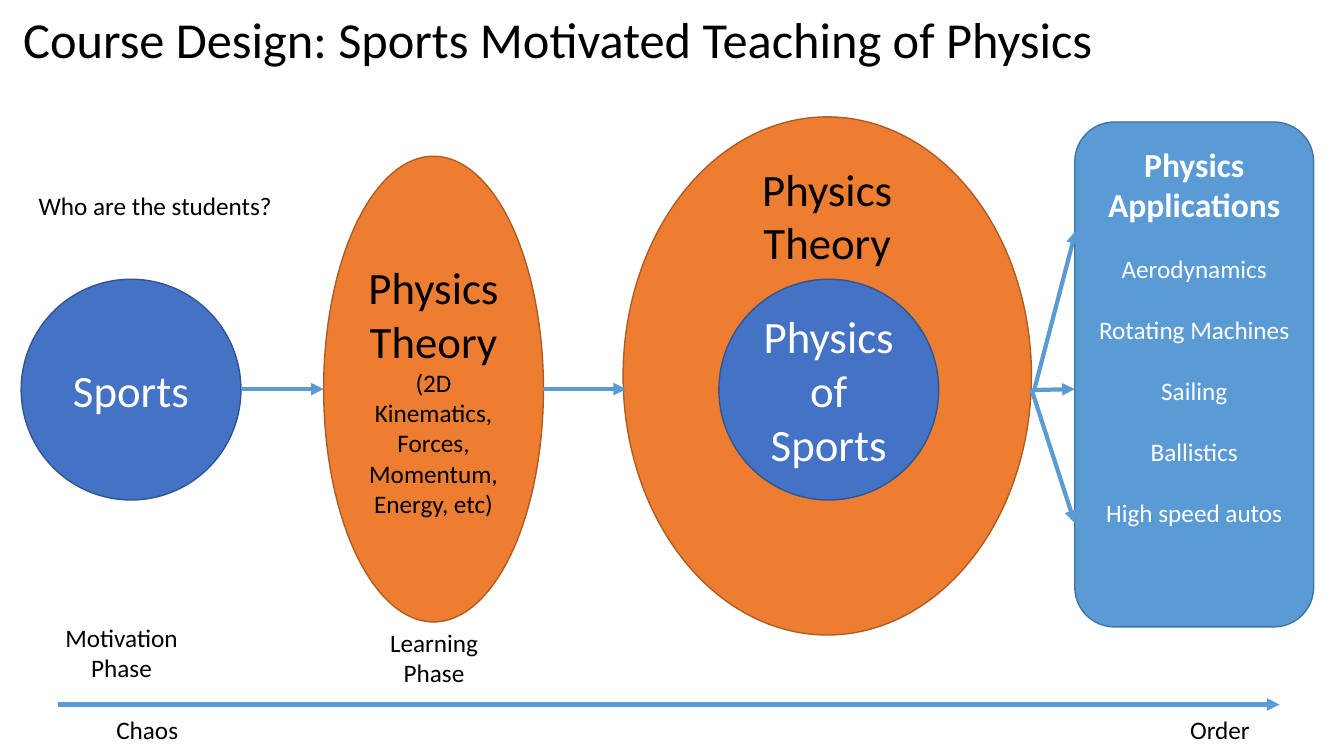
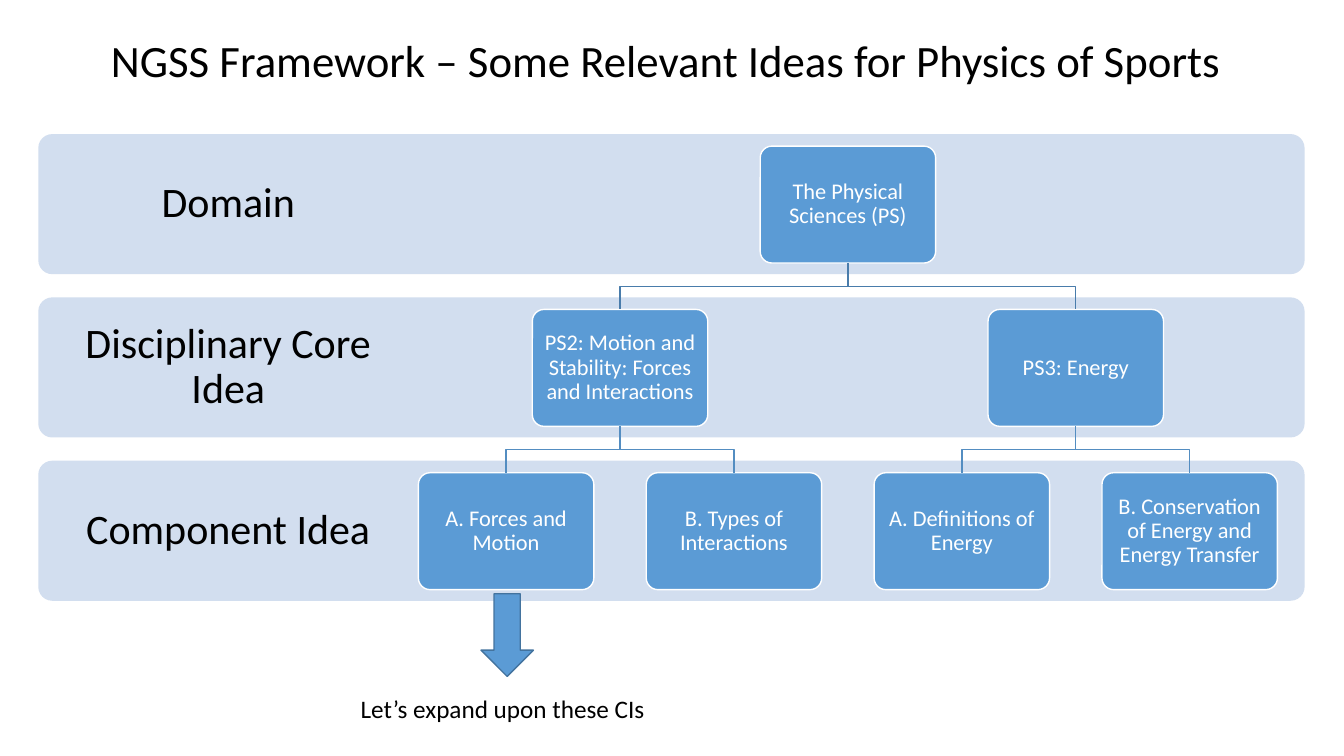
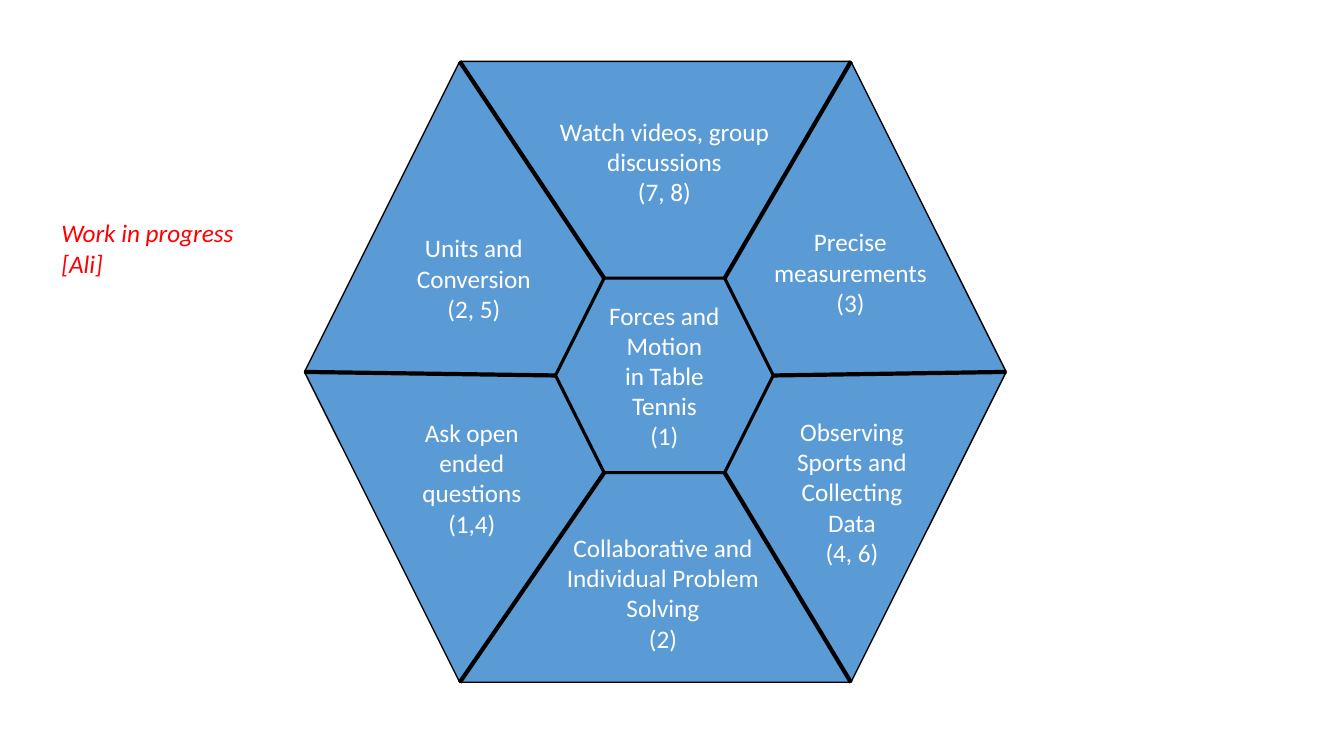
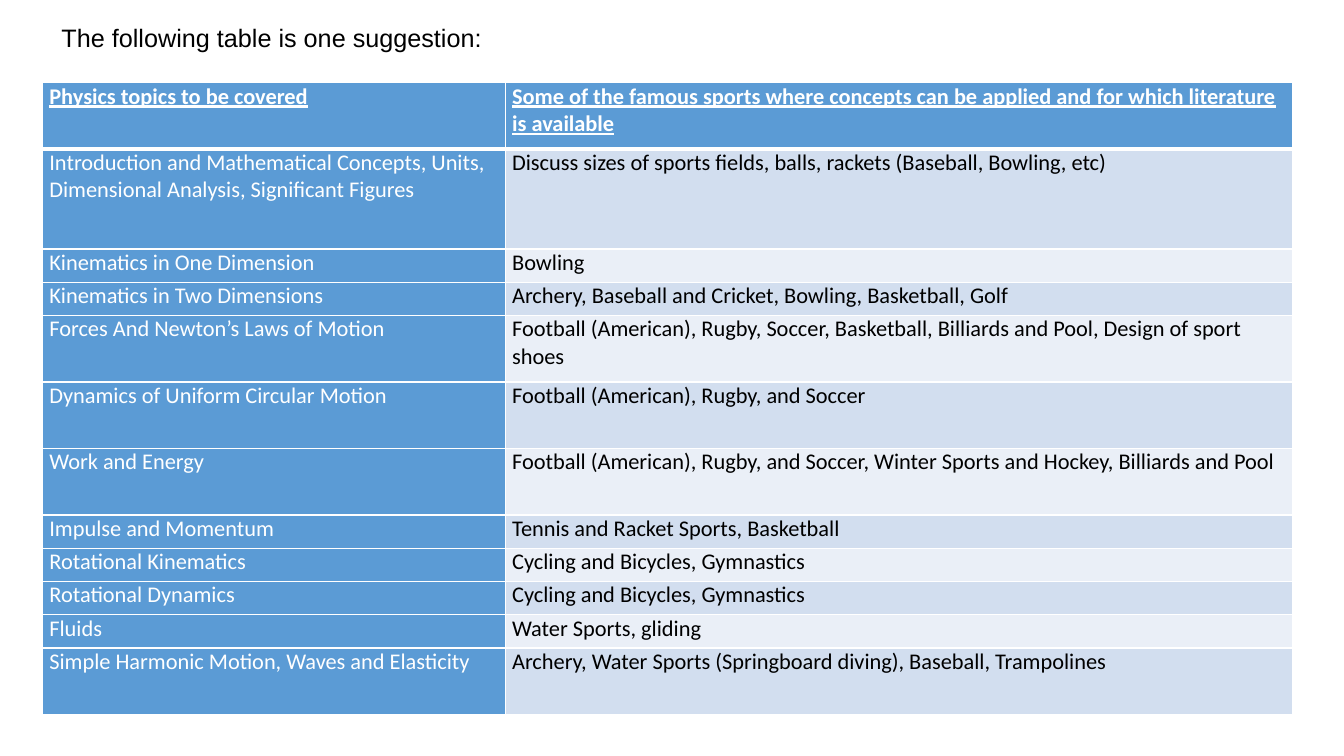
import pptx
import pptx.util
import pptx.dml.color
import pptx.enum.shapes
import pptx.enum.text
import pptx.oxml.ns
import lxml.etree

Inches, Pt = pptx.util.Inches, pptx.util.Pt
RGB = pptx.dml.color.RGBColor
SHAPE = pptx.enum.shapes.MSO_SHAPE
ALIGN = pptx.enum.text.PP_ALIGN
ANCHOR = pptx.enum.text.MSO_ANCHOR
qn = pptx.oxml.ns.qn

BLACK = RGB(0x00, 0x00, 0x00)
WHITE = RGB(0xFF, 0xFF, 0xFF)
RED = RGB(0xFF, 0x00, 0x00)
BLUE = RGB(0x5B, 0x9B, 0xD5)
BLUE_EDGE = RGB(0x43, 0x73, 0x9E)
NAVY = RGB(0x44, 0x72, 0xC4)
NAVY_EDGE = RGB(0x32, 0x54, 0x91)
ORANGE = RGB(0xED, 0x7D, 0x31)
ORANGE_EDGE = RGB(0xAF, 0x5C, 0x24)
PALE = RGB(0xD2, 0xDE, 0xEF)
PALER = RGB(0xEA, 0xEF, 0xF7)
BRANCHES = [RGB(0x49, 0x7C, 0xAB), RGB(0x53, 0x8D, 0xC1)]


def box(s, kind, at, fill=None, line=None, width=1):
    at = [Inches(v) for v in at]
    if kind is None:
        return s.shapes.add_textbox(*at)
    sp = s.shapes.add_shape(kind, *at)
    sp.shadow.inherit = False
    sp.fill.solid()
    sp.fill.fore_color.rgb = fill
    if line is None:
        sp.line.fill.background()
    else:
        sp.line.color.rgb = line
        sp.line.width = Pt(width)
    return sp


def write(tf, lines, size=18, color=BLACK, align=ALIGN.CENTER, spacing=1.0, before=0, frame={}, font={}):
    for name, value in frame.items():
        setattr(tf, name, value)
    for i, line in enumerate(lines):
        p = tf.paragraphs[0] if i == 0 else tf.add_paragraph()
        p.alignment = align
        p.line_spacing = spacing
        if i and before:
            p.space_before = Pt(before)
        r = p.add_run()
        r.text = line
        r.font.color.rgb = color
        for name, value in {"name": "Calibri", "size": Pt(size), **font}.items():
            setattr(r.font, name, value)


MIDDLE = {"vertical_anchor": ANCHOR.MIDDLE, "word_wrap": True}
NO_WRAP = {"word_wrap": False}

prs = pptx.Presentation()
prs.slide_width, prs.slide_height = Inches(13.33), Inches(7.5)
s1, s2, s3, s4 = [prs.slides.add_slide(prs.slide_layouts[i]) for i in (5, 5, 6, 5)]

titles = [
    (s1, "Course Design: Sports Motivated Teaching of Physics", (0.13, 0.1, 11.5, 0.93), 36, 0.9, "Calibri"),
    (s2, "NGSS Framework – Some Relevant Ideas for Physics of Sports", (1, 0.27, 11.57, 0.64), 32, 1.0, "Calibri"),
    (s4, "The following table is one suggestion:", (0.51, 0.17, 4.48, 0.4), 18, 1.0, "Arial"),
]
for s, text, at, size, spacing, name in titles:
    sp = s.shapes.title
    sp.left, sp.top, sp.width, sp.height = [Inches(v) for v in at]
    frame = {"vertical_anchor": ANCHOR.TOP, "word_wrap": True, "auto_size": pptx.enum.text.MSO_AUTO_SIZE.NONE}
    write(sp.text_frame, [text], size, align=ALIGN.LEFT, spacing=spacing, frame=frame, font={"name": name})

ellipses = [
    ((3.21, 1.55, 2.18, 4.62), ORANGE, ORANGE_EDGE, BLACK,
     ["Physics", "Theory", "(2D Kinematics, Forces, Momentum, Energy, etc)"]),
    ((6.18, 1.16, 4.05, 5.14), ORANGE, ORANGE_EDGE, BLACK, []),
    ((7.13, 2.77, 2.18, 2.19), NAVY, NAVY_EDGE, WHITE, ["Physics of", "Sports"]),
    ((0.21, 2.77, 2.18, 2.19), NAVY, NAVY_EDGE, WHITE, ["Sports"]),
]
for at, fill, edge, color, lines in ellipses:
    tf = box(s1, SHAPE.OVAL, at, fill, edge).text_frame
    write(tf, lines, 32, color, frame=MIDDLE)
    if len(lines) == 3:
        tf.paragraphs[2].runs[0].font.size = Pt(18)

applications = box(s1, SHAPE.ROUNDED_RECTANGLE, (10.66, 1.21, 2.37, 5.01), BLUE, BLUE_EDGE)
write(applications.text_frame, ["Aerodynamics", "Rotating Machines", "Sailing", "Ballistics", "High speed autos"],
      color=WHITE, before=22, frame={**MIDDLE, "margin_top": Inches(0.36)})
write(box(s1, None, (10.88, 1.38, 1.93, 0.91)).text_frame, ["Physics", "Applications"], 24, WHITE,
      frame=NO_WRAP, font={"bold": True})
write(box(s1, None, (6.67, 1.55, 3.07, 1.18)).text_frame, ["Physics", "Theory"], 32)

bands = ["Domain", "Disciplinary Core Idea", "Component Idea"]
band_top, band_pitch = 1.33, 1.62
for row, text in enumerate(bands):
    sp = box(s2, SHAPE.ROUNDED_RECTANGLE, (0.38, band_top + row * band_pitch, 12.56, 1.39), PALE)
    sp.adjustments[0] = 0.1
    write(sp.text_frame, [text], 30, spacing=0.9,
          frame={**MIDDLE, "margin_left": Inches(0.19), "margin_right": Inches(8.98)})

nodes = [
    ("The Physical Sciences (PS)", 0, 1.5, None),
    ("PS2: Motion and Stability: Forces and Interactions", 1, 0.5, 1.5),
    ("PS3: Energy", 1, 2.5, 1.5),
    ("A. Forces and Motion", 2, 0, 0.5),
    ("B. Types of Interactions", 2, 1, 0.5),
    ("A. Definitions of Energy", 2, 2, 2.5),
    ("B. Conservation of Energy and Energy Transfer", 2, 3, 2.5),
]
node_left, node_pitch, node_w, node_h = 4.15, 2.26, 1.74, 1.16
tight = {f"margin_{side}": Inches(0.07) for side in ("left", "top", "right", "bottom")}
for text, row, col, parent in nodes:
    x = node_left + col * node_pitch
    y = band_top + 0.12 + row * band_pitch
    sp = box(s2, SHAPE.ROUNDED_RECTANGLE, (x, y, node_w, node_h), BLUE, WHITE)
    sp.adjustments[0] = 0.1
    write(sp.text_frame, [text], 16, WHITE, spacing=0.9, frame={**MIDDLE, **tight})
    if parent is not None:
        mid = x + node_w / 2
        parent_mid = node_left + parent * node_pitch + node_w / 2
        start = y - band_pitch + node_h
        bend = (start + y) / 2
        fb = s2.shapes.build_freeform(Inches(parent_mid), Inches(start))
        fb.add_line_segments([(Inches(a), Inches(b)) for a, b in [(parent_mid, bend), (mid, bend), (mid, y)]],
                             close=False)
        sp = fb.convert_to_shape()
        sp.shadow.inherit = False
        sp.fill.background()
        sp.line.color.rgb = BRANCHES[row - 1]
        sp.line.width = Pt(1)
box(s2, SHAPE.DOWN_ARROW, (4.77, 5.89, 0.52, 0.82), BLUE, BLUE_EDGE)

outer, inner = (3.02, 0.61, 6.96, 6.16), (5.51, 2.76, 2.16, 1.93)
box(s3, SHAPE.HEXAGON, outer, BLUE, BLACK)
center = box(s3, SHAPE.HEXAGON, inner, BLUE, BLACK, 2.25)
write(center.text_frame, ["Forces and Motion", "in Table Tennis", "(1)"], color=WHITE, frame=MIDDLE)
corners = [[(x + h / 4, y), (x + w - h / 4, y), (x + w, y + h / 2),
            (x + w - h / 4, y + h), (x + h / 4, y + h), (x, y + h / 2)] for x, y, w, h in (inner, outer)]

lines = [(s3, a, b, BLACK, False) for a, b in zip(*corners)]
lines += [(s1, a, b, BLUE, True) for a, b in [
    ((2.39, 3.86), (3.21, 3.86)),
    ((5.39, 3.86), (6.21, 3.86)),
    ((0.58, 6.99), (12.69, 6.99)),
    ((10.24, 3.87), (10.66, 3.86)),
    ((10.23, 3.86), (10.66, 5.19)),
    ((10.26, 3.86), (10.67, 2.29)),
]]
for s, a, b, color, arrow in lines:
    c = s.shapes.add_connector(pptx.enum.shapes.MSO_CONNECTOR.STRAIGHT, *[Inches(v) for v in a + b])
    c.line.color.rgb = color
    c.line.width = Pt(3)
    if arrow:
        lxml.etree.SubElement(c.line._get_or_add_ln(), qn("a:tailEnd"), type="triangle")
    lxml.etree.SubElement(c._element.spPr, qn("a:effectLst"))

labels = [
    (s1, (0.51, 6.12, 1.39, 0.71), ["Motivation", "Phase"], BLACK),
    (s1, (3.73, 6.17, 1.15, 0.71), ["Learning", "Phase"], BLACK),
    (s1, (1.05, 7.04, 0.82, 0.4), ["Chaos"], BLACK),
    (s1, (11.7, 7.04, 0.8, 0.4), ["Order"], BLACK),
    (s1, (0.27, 1.84, 2.54, 0.4), ["Who are the students?"], BLACK),
    (s2, (3.46, 6.83, 3.05, 0.4), ["Let’s expand upon these CIs"], BLACK),
    (s3, (5.41, 1.1, 2.36, 1.01), ["Watch videos, group", "discussions", "(7, 8)"], WHITE),
    (s3, (5.48, 5.23, 2.19, 1.31), ["Collaborative and", "Individual Problem", "Solving", "(2)"], WHITE),
    (s3, (4.03, 2.26, 1.34, 1.01), ["Units and", "Conversion", "(2, 5)"], WHITE),
    (s3, (7.57, 2.2, 1.73, 1.01), ["Precise", "measurements", "(3)"], WHITE),
    (s3, (7.77, 4.08, 1.36, 1.62), ["Observing", "Sports and", "Collecting", "Data", "(4, 6)"], WHITE),
]
for s, at, text, color in labels:
    write(box(s, None, at).text_frame, text, color=color, frame=NO_WRAP)
write(box(s3, None, (3.98, 4.09, 1.4, 1.31)).text_frame, ["Ask open ended questions", "(1,4)"],
      color=WHITE, frame={"word_wrap": True})
write(box(s3, None, (0.51, 2.11, 1.98, 0.71)).text_frame, ["Work in progress", "[Ali]"],
      color=RED, align=ALIGN.LEFT, frame={"word_wrap": True}, font={"italic": True})

rows = [
    (0.66, "Physics topics to be covered",
     "Some of the famous sports where concepts can be applied and for which literature is available"),
    (0.99, "Introduction and Mathematical Concepts, Units, Dimensional Analysis, Significant Figures",
     "Discuss sizes of sports fields, balls, rackets (Baseball, Bowling, etc)"),
    (0.33, "Kinematics in One Dimension", "Bowling"),
    (0.33, "Kinematics in Two Dimensions", "Archery, Baseball and Cricket, Bowling, Basketball, Golf"),
    (0.66, "Forces And Newton’s Laws of Motion",
     "Football (American), Rugby, Soccer, Basketball, Billiards and Pool, Design of sport shoes"),
    (0.66, "Dynamics of Uniform Circular Motion", "Football (American), Rugby, and Soccer"),
    (0.66, "Work and Energy",
     "Football (American), Rugby, and Soccer, Winter Sports and Hockey, Billiards and Pool"),
    (0.33, "Impulse and Momentum", "Tennis and Racket Sports, Basketball"),
    (0.33, "Rotational Kinematics", "Cycling and Bicycles, Gymnastics"),
    (0.33, "Rotational Dynamics", "Cycling and Bicycles, Gymnastics"),
    (0.33, "Fluids", "Water Sports, gliding"),
    (0.66, "Simple Harmonic Motion, Waves and Elasticity",
     "Archery, Water Sports (Springboard diving), Baseball, Trampolines"),
]
tbl = s4.shapes.add_table(len(rows), 2, Inches(0.42), Inches(0.82), Inches(12.4), Inches(6.26)).table
tbl.columns[0].width, tbl.columns[1].width = Inches(4.59), Inches(7.81)
cell_margins = {"margin_left": Inches(0.07), "margin_right": Inches(0.07), "margin_top": 0, "margin_bottom": 0}
for i, (height, *texts) in enumerate(rows):
    tbl.rows[i].height = Inches(height)
    for j, text in enumerate(texts):
        cell = tbl.cell(i, j)
        for name, value in cell_margins.items():
            setattr(cell, name, value)
        solid = i == 0 or j == 0
        for side in "LRTB":
            thick = (i, side) in [(0, "B"), (1, "T")]
            ln = lxml.etree.SubElement(cell._tc.get_or_add_tcPr(), qn("a:ln" + side), w=str(Pt(3 if thick else 1)))
            lxml.etree.SubElement(lxml.etree.SubElement(ln, qn("a:solidFill")), qn("a:srgbClr"), val=str(WHITE))
        cell.fill.solid()
        cell.fill.fore_color.rgb = BLUE if solid else PALE if i % 2 else PALER
        write(cell.text_frame, [text], 16, WHITE if solid else BLACK, ALIGN.LEFT,
              font={"bold": i == 0, "underline": i == 0})

prs.save("out.pptx")
